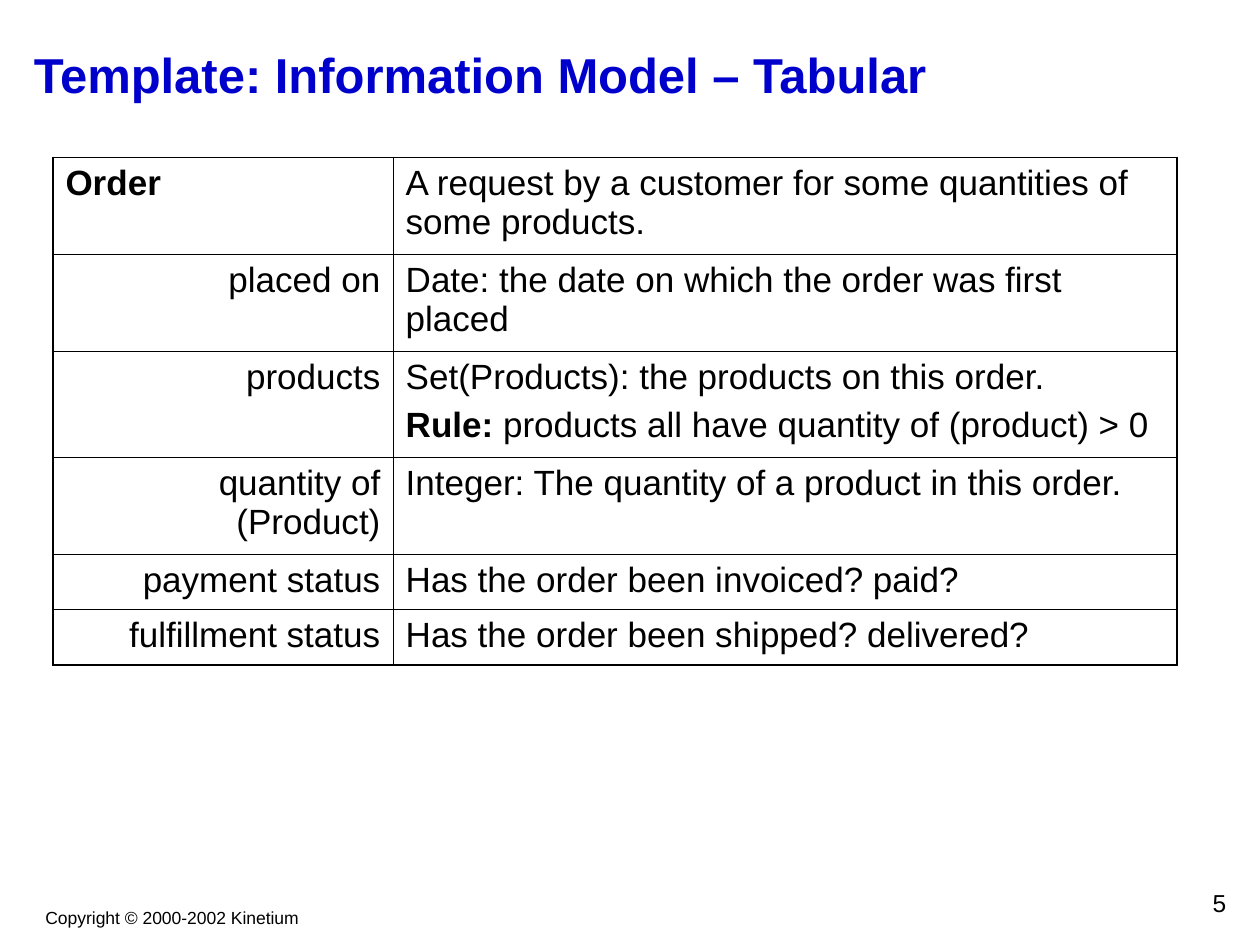
from dataclasses import dataclass

import pptx
import pptx.dml.color
import pptx.enum.text
import pptx.oxml
import pptx.oxml.ns
import pptx.util
from pptx.util import Inches

ALIGN = pptx.enum.text.PP_ALIGN
ANCHOR = pptx.enum.text.MSO_ANCHOR


@dataclass(frozen=True)
class Theme:
    font: str = "Arial"
    title_color: str = "0000CC"
    text_color: str = "000000"
    title_size: int = 28
    table_size: int = 20
    number_size: int = 14
    footer_size: int = 10
    paragraph_gap: int = 5
    outer_border: float = 1.08
    inner_border: float = 0.45


def set_values(target, values):
    for name, value in values.items():
        setattr(target, name, value)


class SlideBuilder:
    def __init__(self, presentation, theme):
        self.theme = theme
        self.slide = presentation.slides.add_slide(presentation.slide_layouts[6])

    def add_run(self, paragraph, text, size, color, bold=False):
        run = paragraph.add_run()
        run.text = text
        set_values(run.font, {"name": self.theme.font, "size": pptx.util.Pt(size), "bold": bold})
        run.font.color.rgb = pptx.dml.color.RGBColor.from_string(color)

    def add_text(self, text, box, size, color=None, bold=False, align=ALIGN.LEFT,
                 anchor=ANCHOR.TOP, wrap=True):
        shape = self.slide.shapes.add_textbox(*map(Inches, box))
        set_values(shape.text_frame, {"word_wrap": wrap, "vertical_anchor": anchor})
        paragraph = shape.text_frame.paragraphs[0]
        paragraph.alignment = align
        self.add_run(paragraph, text, size, color or self.theme.text_color, bold)

    def set_borders(self, cell, widths):
        """Draw the cell edges; widths maps L, R, T and B to points."""
        properties = cell._tc.get_or_add_tcPr()
        for index, (side, width) in enumerate(widths.items()):
            line = pptx.oxml.parse_xml(
                f'<a:ln{side} {pptx.oxml.ns.nsdecls("a")} w="{int(pptx.util.Pt(width))}">'
                f'<a:solidFill><a:srgbClr val="{self.theme.text_color}"/></a:solidFill>'
                f'</a:ln{side}>')
            properties.insert(index, line)

    def fill_cell(self, cell, paragraphs, align):
        """Write paragraphs, each a list of (text, bold) runs."""
        cell.fill.background()
        for index, runs in enumerate(paragraphs):
            if index == 0:
                paragraph = cell.text_frame.paragraphs[0]
            else:
                paragraph = cell.text_frame.add_paragraph()
                paragraph.space_before = pptx.util.Pt(self.theme.paragraph_gap)
            paragraph.alignment = align
            for text, bold in runs:
                self.add_run(paragraph, text, self.theme.table_size, self.theme.text_color, bold)

    def add_table(self, rows, left, top, widths, heights):
        shape = self.slide.shapes.add_table(
            len(rows), len(widths), Inches(left), Inches(top),
            Inches(sum(widths)), Inches(sum(heights)))
        table = shape.table
        set_values(table, {"first_row": False, "horz_banding": False})
        for column, width in zip(table.columns, widths):
            column.width = Inches(width)
        for row, height in zip(table.rows, heights):
            row.height = Inches(height)
        last_row, last_column = len(rows) - 1, len(widths) - 1
        for i, row in enumerate(rows):
            for j, paragraphs in enumerate(row):
                cell = table.cell(i, j)
                is_attribute = i > 0 and j == 0
                self.fill_cell(cell, paragraphs, ALIGN.RIGHT if is_attribute else ALIGN.LEFT)
                outer = {"L": j == 0, "R": j == last_column, "T": i == 0, "B": i == last_row}
                self.set_borders(cell, {
                    side: self.theme.outer_border if is_outer else self.theme.inner_border
                    for side, is_outer in outer.items()})


def plain(text):
    return [[(text, False)]]


ORDER_MODEL = [
    ([[("Order", True)]],
     plain("A request by a customer for some quantities of some products.")),
    (plain("placed on"), plain("Date: the date on which the order was first placed")),
    (plain("products"),
     [[("Set(Products): the products on this order.", False)],
      [("Rule:", True), (" products all have quantity of (product) > 0", False)]]),
    (plain("quantity of (Product)"),
     plain("Integer: The quantity of a product in this order.")),
    (plain("payment status"), plain("Has the order been invoiced? paid?")),
    (plain("fulfillment status"), plain("Has the order been shipped? delivered?")),
]


def main():
    presentation = pptx.Presentation()
    set_values(presentation, {"slide_width": Inches(10), "slide_height": Inches(7.5)})
    theme = Theme()
    builder = SlideBuilder(presentation, theme)
    builder.add_text("Copyright © 2000-2002 Kinetium", (0.26, 7.15, 2.21, 0.27),
                     theme.footer_size, align=ALIGN.CENTER, wrap=False)
    builder.add_text("Template: Information Model – Tabular", (0.17, 0.17, 9.67, 0.83),
                     theme.title_size, theme.title_color, bold=True, anchor=ANCHOR.MIDDLE)
    builder.add_table(ORDER_MODEL, 0.42, 1.25, widths=(2.7, 6.22),
                      heights=(0.77, 0.77, 0.84, 0.77, 0.44, 0.44))
    builder.add_text("5", (7.75, 7, 2.08, 0.33), theme.number_size, align=ALIGN.RIGHT)
    presentation.save("out.pptx")


if __name__ == "__main__":
    main()
